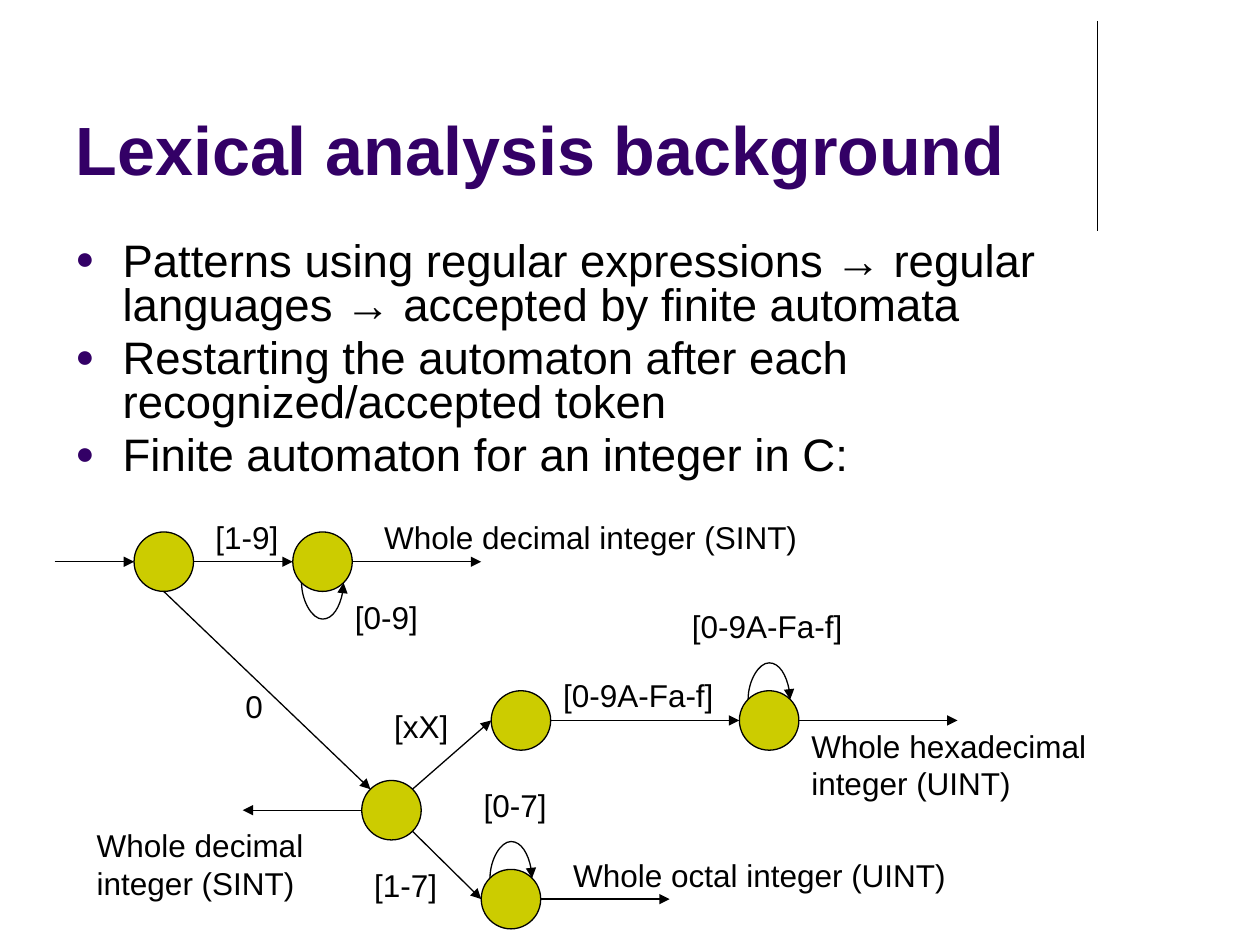
from lxml.etree import SubElement
from pptx import Presentation
from pptx.dml.color import RGBColor
from pptx.enum.shapes import MSO_CONNECTOR, MSO_SHAPE
from pptx.enum.text import MSO_ANCHOR, MSO_AUTO_SIZE, PP_ALIGN
from pptx.oxml.ns import qn
from pptx.util import Pt

BLACK = RGBColor(0x00, 0x00, 0x00)
PURPLE = RGBColor(0x33, 0x00, 0x66)
OLIVE = RGBColor(0xCC, 0xCC, 0x00)

RADIUS = 17
DIAGONAL = 12  # horizontal and vertical offset of a 45° point on a state circle
LOOP_DEPTH = 23
LOOP_THICKNESS = 0.125

# State centres
START = (93.6, 321)
DECIMAL = (184.3, 321)
ZERO = (223.7, 463)
PREFIX = (297.7, 411.7)
OCTAL = (292, 513.8)
HEX = (439.5, 411.7)

BULLETS = [
    "Patterns using regular expressions → regular languages → accepted by finite automata",
    "Restarting the automaton after each recognized/accepted token",
    "Finite automaton for an integer in C:",
]

# Transition labels: text, left, top, width
LABELS = [
    ("[1-9]", 116, 292.5, 50.4),
    ("0", 133.2, 389, 24.5),
    ("[0-9]", 195.7, 338, 50.4),
    ("[xX]", 218.2, 400.3, 45.4),
    ("[1-7]", 206.8, 491.2, 50.4),
    ("[0-7]", 269.3, 445.6, 50.4),
    ("[0-9A-Fa-f]", 314.7, 383, 100.8),
    ("[0-9A-Fa-f]", 388.3, 343.6, 100.8),
]

# Result captions: text, left, top, width, height
CAPTIONS = [
    ("Whole decimal integer (SINT)", 212.4, 292.5, 260.6, 29),
    ("Whole octal integer (UINT)", 320.4, 485.5, 232.6, 29),
    ("Whole hexadecimal integer (UINT)", 456.5, 411.7, 215.3, 51),
    ("Whole decimal integer (SINT)", 48.2, 468.5, 150.5, 51),
]


def shifted(point, dx=0, dy=0):
    return point[0] + dx, point[1] + dy


def left_of(state):
    return shifted(state, dx=-RADIUS)


def right_of(state):
    return shifted(state, dx=RADIUS)


class AutomatonPage:
    font = "Arial"
    title_size = 39
    bullet_size = 26
    label_size = 18
    line_width = 0.75

    def __init__(self, page):
        self.page = page

    def format_runs(self, para, size, color=BLACK, bold=False):
        for span in para.runs:
            span.font.name = self.font
            span.font.size = Pt(size)
            span.font.bold = bold
            span.font.color.rgb = color

    def title(self, text, left, top, width, height):
        box = self.page.shapes.title
        box.left, box.top, box.width, box.height = map(Pt, (left, top, width, height))
        frame = box.text_frame
        frame.text = text
        frame.auto_size = MSO_AUTO_SIZE.NONE
        frame.vertical_anchor = MSO_ANCHOR.BOTTOM
        frame.paragraphs[0].alignment = PP_ALIGN.LEFT
        self.format_runs(frame.paragraphs[0], self.title_size, PURPLE, bold=True)

    def bullets(self, items, left, top, width, height):
        box = self.page.shapes.add_textbox(*map(Pt, (left, top, width, height)))
        frame = box.text_frame
        frame.word_wrap = True
        frame.text = "\n".join(items)
        for para in frame.paragraphs:
            para.line_spacing = 0.8
            para.space_before = Pt(5.7)
            self.format_runs(para, self.bullet_size)
            self.bullet_mark(para)

    def bullet_mark(self, para):
        properties = para._p.get_or_add_pPr()
        properties.set("marL", str(Pt(27)))
        properties.set("indent", str(-Pt(27)))
        color = SubElement(properties, qn("a:buClr"))
        SubElement(color, qn("a:srgbClr"), val=str(PURPLE))
        SubElement(properties, qn("a:buSzPct"), val="70000")
        SubElement(properties, qn("a:buFont"), typeface=self.font)
        SubElement(properties, qn("a:buChar"), char="●")

    def label(self, text, left, top, width, height=29, wrap=False):
        box = self.page.shapes.add_textbox(*map(Pt, (left, top, width, height)))
        frame = box.text_frame
        frame.text = text
        frame.word_wrap = wrap
        frame.auto_size = MSO_AUTO_SIZE.SHAPE_TO_FIT_TEXT
        self.format_runs(frame.paragraphs[0], self.label_size)

    def state(self, center):
        left, top = shifted(center, -RADIUS, -RADIUS)
        circle = self.page.shapes.add_shape(
            MSO_SHAPE.OVAL, Pt(left), Pt(top), Pt(2 * RADIUS), Pt(2 * RADIUS))
        circle.shadow.inherit = False
        circle.fill.solid()
        circle.fill.fore_color.rgb = OLIVE
        circle.line.color.rgb = BLACK
        circle.line.width = Pt(self.line_width)

    def line(self, begin, end, kind=MSO_CONNECTOR.STRAIGHT, arrow=True):
        connector = self.page.shapes.add_connector(kind, *map(Pt, (*begin, *end)))
        connector.line.color.rgb = BLACK
        connector.line.width = Pt(self.line_width)
        if arrow:
            SubElement(connector.line._get_or_add_ln(), qn("a:tailEnd"), type="triangle")
        SubElement(connector.element.spPr, qn("a:effectLst"))
        return connector

    def loop(self, state, below=False):
        """Curve from a state back to itself: a thin connector, turned on its side."""
        x, y = shifted(state, dy=DIAGONAL if below else -DIAGONAL)
        left, right = x - LOOP_THICKNESS / 2, x + LOOP_THICKNESS / 2
        top, bottom = y - DIAGONAL, y + DIAGONAL
        ratio = LOOP_DEPTH / LOOP_THICKNESS
        if below:
            begin, end, angle = (right, top), (left, bottom), 270
        else:
            begin, end, angle, ratio = (left, bottom), (right, top), 90, -ratio
        connector = self.line(begin, end, MSO_CONNECTOR.CURVE)
        properties = connector.element.spPr
        properties.find(qn("a:xfrm")).set("rot", str(angle * 60000))
        guides = properties.find(qn("a:prstGeom")).find(qn("a:avLst"))
        SubElement(guides, qn("a:gd"), name="adj1", fmla=f"val {round(ratio * 100000)}")


def main():
    deck = Presentation()
    deck.slide_width, deck.slide_height = Pt(720), Pt(540)
    automaton = AutomatonPage(deck.slides.add_slide(deck.slide_layouts[5]))

    automaton.line((627, 12), (627, 132), arrow=False)
    automaton.title("Lexical analysis background", 36, 9.5, 594, 102)
    automaton.bullets(BULLETS, 36, 135, 648, 146)

    for center in (START, DECIMAL, ZERO, PREFIX, OCTAL, HEX):
        automaton.state(center)

    arrows = [
        (shifted(left_of(START), dx=-45.4), left_of(START)),
        (right_of(START), left_of(DECIMAL)),
        (shifted(START, dy=RADIUS), shifted(ZERO, -DIAGONAL, -DIAGONAL)),
        (right_of(DECIMAL), shifted(right_of(DECIMAL), dx=73.7)),
        (shifted(ZERO, DIAGONAL, -DIAGONAL), left_of(PREFIX)),
        (shifted(ZERO, DIAGONAL, DIAGONAL), left_of(OCTAL)),
        (left_of(ZERO), shifted(left_of(ZERO), dx=-68)),
        (right_of(OCTAL), shifted(right_of(OCTAL), dx=73.7)),
        (right_of(PREFIX), left_of(HEX)),
        (right_of(HEX), shifted(right_of(HEX), dx=90.7)),
    ]
    for begin, end in arrows:
        automaton.line(begin, end)

    automaton.loop(DECIMAL, below=True)
    automaton.loop(OCTAL)
    automaton.loop(HEX)

    for label in LABELS:
        automaton.label(*label)
    for caption in CAPTIONS:
        automaton.label(*caption, wrap=True)

    deck.save("out.pptx")


if __name__ == "__main__":
    main()
